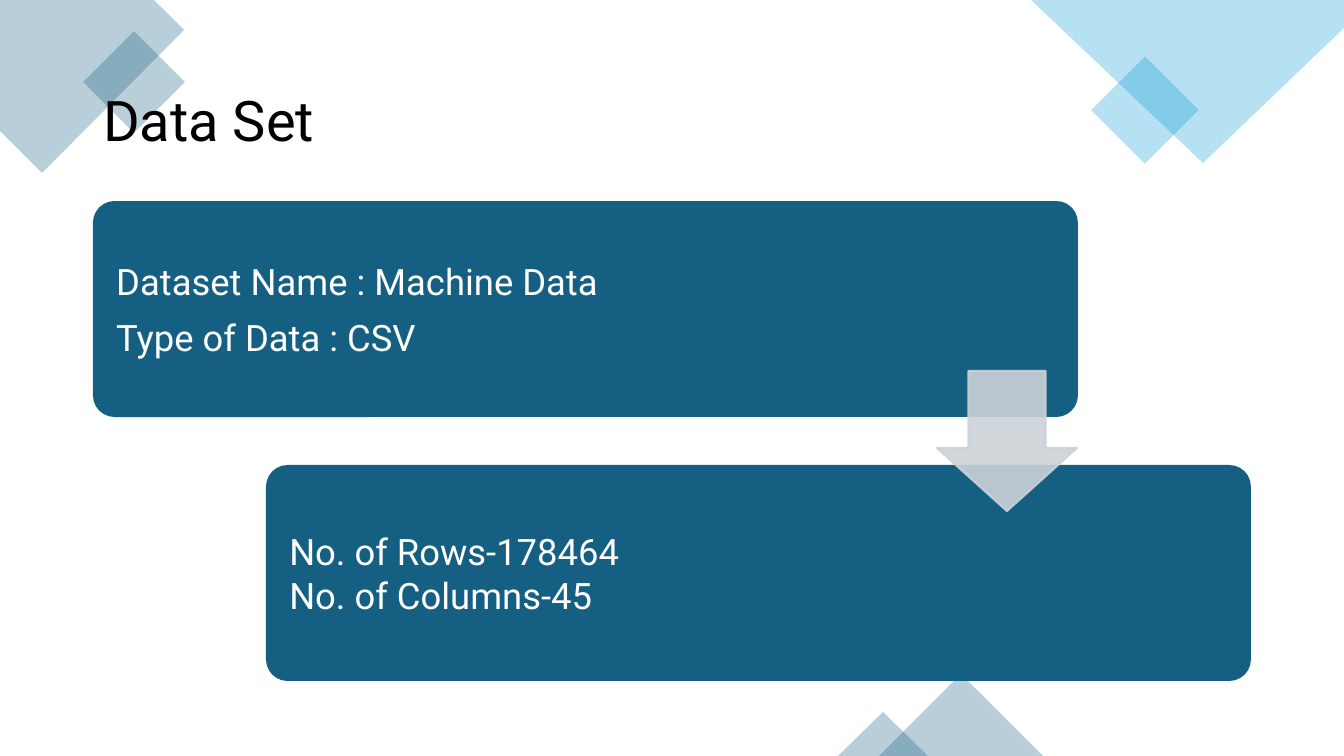
from lxml import etree
from pptx import Presentation
from pptx import util as u
from pptx.dml.color import RGBColor
from pptx.enum import shapes, text
from pptx.oxml import ns

PX = 914400 / 100.8
FONT = "Roboto"
BLACK = RGBColor(0x00, 0x00, 0x00)
WHITE = RGBColor(0xFF, 0xFF, 0xFF)
TEAL = RGBColor(0x15, 0x60, 0x82)
SKY = RGBColor(0x0F, 0x9E, 0xD5)
GREY = RGBColor(0xCC, 0xD2, 0xD8)
KIND = shapes.MSO_SHAPE


def px(*nums):
    return [u.Emu(round(n * PX)) for n in nums]


def paint(shape, color, alpha=100):
    """Fill the shape without outline; alpha is the opacity in percent."""
    shape.shadow.inherit = False
    shape.fill.solid()
    shape.fill.fore_color.rgb = color
    shape.line.fill.background()
    fade(shape, alpha)


def fade(shape, alpha):
    """Set one opacity on every colour of the shape that has none yet."""
    if alpha == 100:
        return
    for node in shape.element.spPr.iter(ns.qn("a:srgbClr")):
        if len(node) == 0:
            etree.SubElement(node, ns.qn("a:alpha"), val=str(alpha * 1000))


def add_shape(slide, kind, box, color, alpha=100):
    shape = slide.shapes.add_shape(kind, *px(*box))
    paint(shape, color, alpha)
    return shape


def add_corner(slide, points, color):
    pen = slide.shapes.build_freeform(*points[0], scale=PX)
    pen.add_line_segments(points[1:], close=True)
    paint(pen.convert_to_shape(), color, 30)


def add_decor(slide):
    add_corner(slide, [(0, 0), (154, 0), (184, 30), (42, 173), (0, 131)], TEAL)
    add_corner(slide, [(1031, 0), (1344, 0), (1344, 28), (1203, 163)], SKY)
    for left, top, size, color in [(98, 46, 72, TEAL), (1107, 72, 76, SKY)]:
        box = left, top, size, size
        add_shape(slide, KIND.RECTANGLE, box, color, 30).rotation = 315
    for box in [(879, 674, 164, 82), (838, 712, 90, 44)]:
        add_shape(slide, KIND.ISOSCELES_TRIANGLE, box, TEAL, 30)


def style(par, size, color):
    par.alignment = text.PP_ALIGN.LEFT
    par.font.name = FONT
    par.font.size = u.Pt(size)
    par.font.color.rgb = color


def set_title(slide, words):
    """Write the title and bring it in front of the decoration."""
    title = slide.shapes.title
    title.left, title.top, title.width, title.height = px(93, 61, 1159, 125)
    frame = title.text_frame
    frame.text = words
    frame.auto_size = text.MSO_AUTO_SIZE.NONE
    frame.vertical_anchor = text.MSO_ANCHOR.MIDDLE
    par = frame.paragraphs[0]
    par.line_spacing = 0.9
    style(par, 40, BLACK)
    title.element.getparent().append(title.element)


def add_card(slide, left, top, lines):
    card = add_shape(slide, KIND.ROUNDED_RECTANGLE, (left, top, 985, 216), TEAL)
    card.adjustments[0] = 0.1
    frame = card.text_frame
    frame.word_wrap = True
    frame.vertical_anchor = text.MSO_ANCHOR.MIDDLE
    frame.margin_left, frame.margin_right = px(17, 17)
    for num, line in enumerate(lines):
        par = frame.add_paragraph() if num else frame.paragraphs[0]
        par.text = line
        par.space_after = u.Pt(9)
        style(par, 26, WHITE)


def add_arrow(slide, box):
    arrow = add_shape(slide, KIND.DOWN_ARROW, box, GREY, 90)
    arrow.adjustments[0] = 0.55
    arrow.adjustments[1] = 0.45
    arrow.line.color.rgb = GREY
    arrow.line.width = u.Pt(1.5)
    fade(arrow, 90)


def main():
    deck = Presentation()
    deck.slide_width, deck.slide_height = px(1344, 756)
    slide = deck.slides.add_slide(deck.slide_layouts[5])
    add_decor(slide)
    set_title(slide, "Data Set")
    add_card(slide, 93, 201, ["Dataset Name : Machine Data", "Type of Data : CSV"])
    add_card(slide, 266, 465, ["No. of Rows-178464\vNo. of Columns-45"])
    add_arrow(slide, (937, 371, 140, 140))
    deck.save("out.pptx")


if __name__ == "__main__":
    main()
